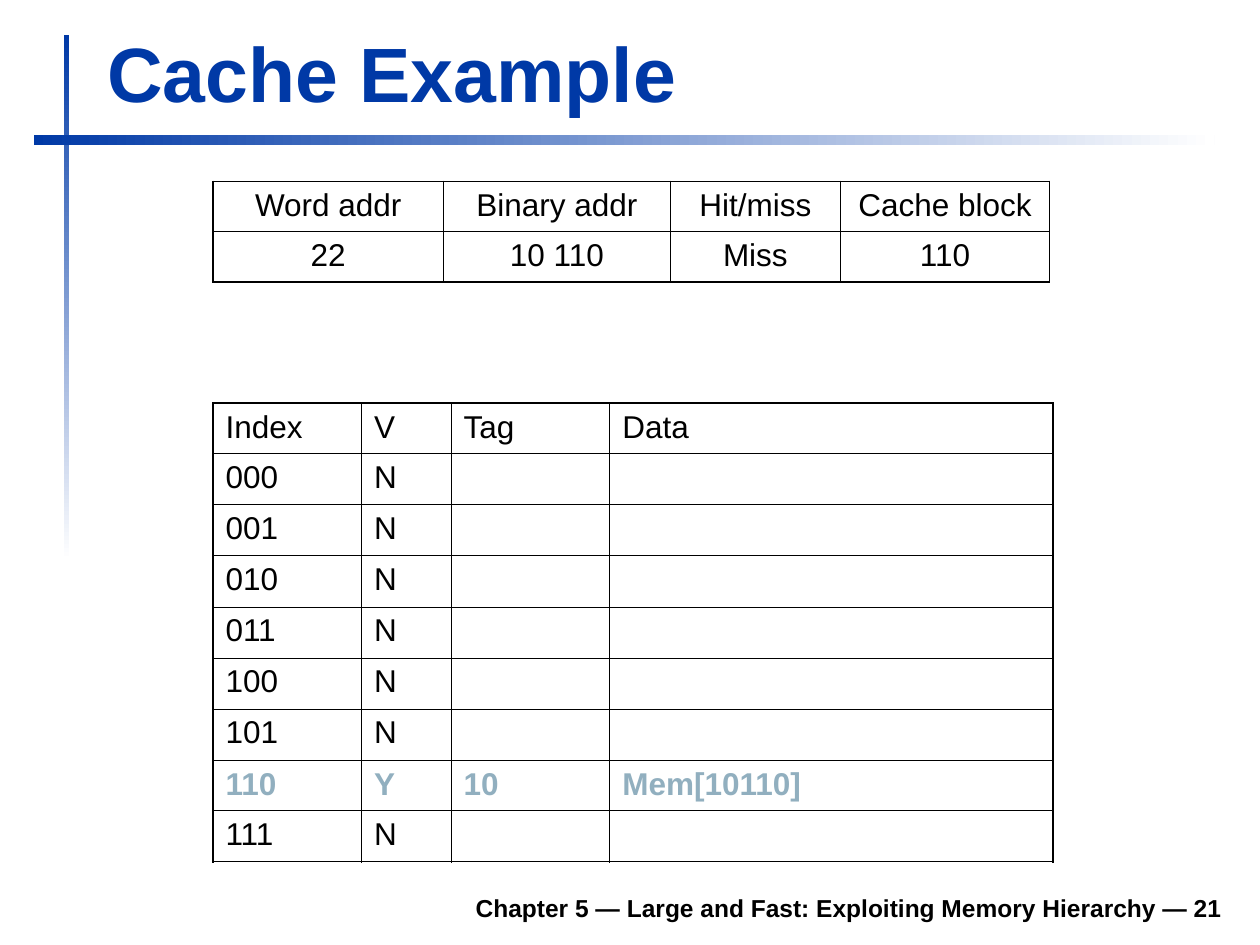
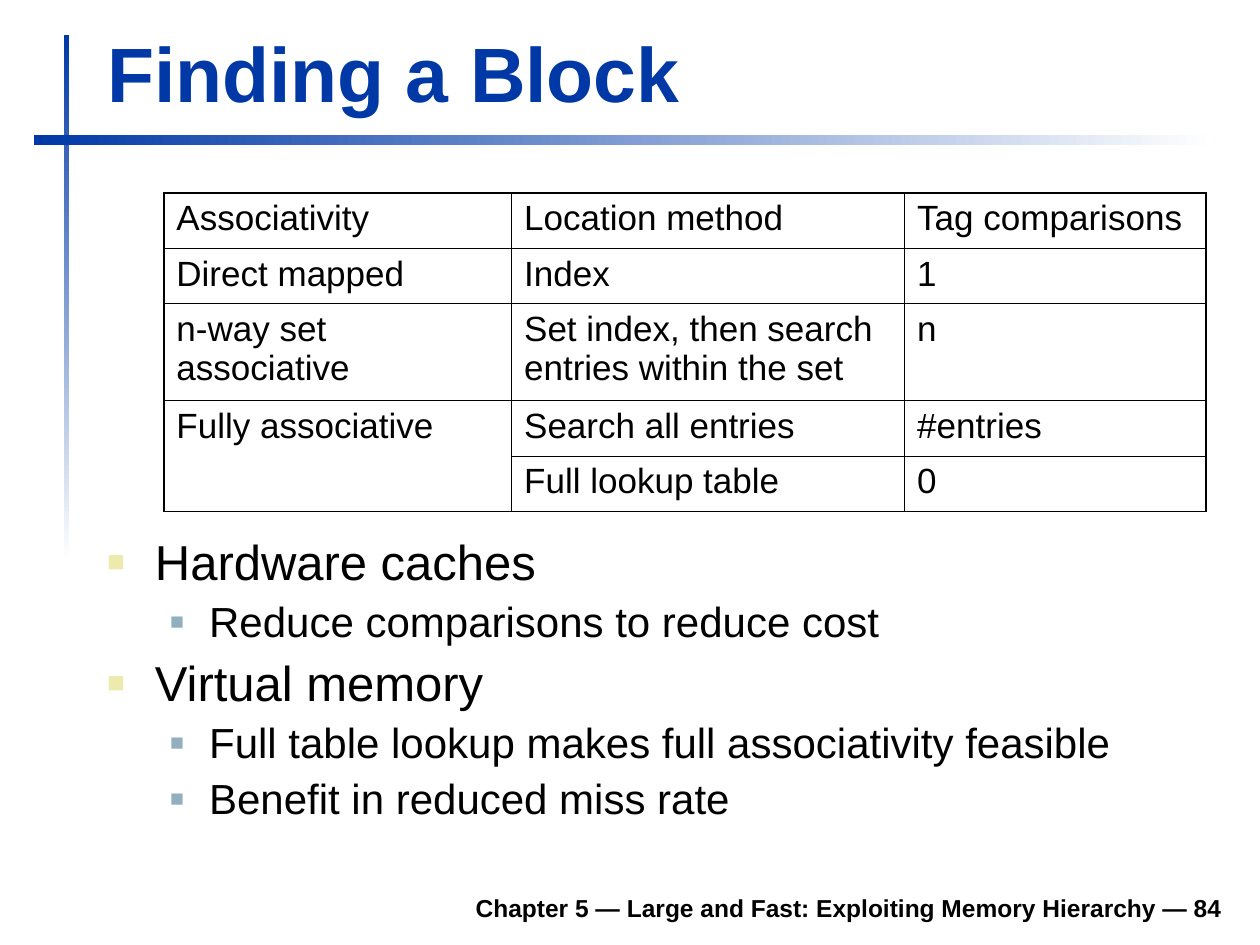
from dataclasses import dataclass

from lxml import etree
from pptx import Presentation
from pptx.dml.color import RGBColor
from pptx.enum.shapes import MSO_SHAPE
from pptx.enum.text import MSO_ANCHOR, MSO_AUTO_SIZE, PP_ALIGN
from pptx.oxml.ns import qn
from pptx.presentation import Presentation as Deck
from pptx.slide import Slide
from pptx.table import _Cell as Cell
from pptx.text.text import TextFrame, _Paragraph as Paragraph
from pptx.util import Inches, Pt

RECTANGLE = MSO_SHAPE.RECTANGLE
LEFT, CENTER, RIGHT = PP_ALIGN.LEFT, PP_ALIGN.CENTER, PP_ALIGN.RIGHT
BOTTOM = MSO_ANCHOR.BOTTOM
FIXED = MSO_AUTO_SIZE.NONE

FONT = "Arial"
COLORS = {
    "blue": "0039A6",
    "white": "FFFFFF",
    "black": "000000",
    "steel": "91AFBF",
    "sand": "ECEAAC",
}
INNER, HEADER, OUTER = 0.45, 0.75, 1.08
FOOTER = "Chapter 5 — Large and Fast: Exploiting Memory Hierarchy — "
TITLE_ONLY, TITLE_AND_BODY = 5, 1


@dataclass
class Frame:
    left: float
    top: float
    width: float
    height: float

    def lengths(self) -> tuple:
        return tuple(Inches(n) for n in (self.left, self.top, self.width, self.height))


@dataclass
class Band:
    frame: Frame
    angle: int


@dataclass
class Grid:
    left: float
    top: float
    columns: list[float]
    heights: list[float]
    rows: list[list[str]]
    size: int = 18
    align: PP_ALIGN = LEFT
    highlight: int | None = None


@dataclass
class BulletLevel:
    size: int
    left: float
    hanging: float
    before: int
    color: str
    percent: int


TITLE_FRAME = Frame(0.75, 0.16, 9.03, 0.83)
FOOTER_FRAME = Frame(1.85, 6.98, 7.95, 0.39)
BODY_FRAME = Frame(0.75, 4.22, 9.04, 2.6)
BANDS = [
    Band(Frame(0.51, 0.28, 0.04, 4.17), 270),
    Band(Frame(0.27, 1.07, 9.37, 0.08), 0),
]
LEVELS = [
    BulletLevel(28, 0.38, 0.38, 7, "sand", 60),
    BulletLevel(24, 0.81, 0.31, 6, "steel", 55),
]

ACCESS = Grid(
    1.69, 1.44, [1.83, 1.8, 1.35, 1.66], [0.4] * 2,
    [
        ["Word addr", "Binary addr", "Hit/miss", "Cache block"],
        ["22", "10 110", "Miss", "110"],
    ],
    align=CENTER,
)
FILLED_INDEX = 6
CACHE = Grid(
    1.69, 3.2, [1.18, 0.71, 1.26, 3.52], [0.4] * 9,
    [["Index", "V", "Tag", "Data"]]
    + [
        [f"{index:03b}"] + (["Y", "10", "Mem[10110]"] if index == FILLED_INDEX else ["N", "", ""])
        for index in range(8)
    ],
    highlight=FILLED_INDEX + 1,
)
METHODS = Grid(
    1.3, 1.53, [2.76, 3.12, 2.39], [0.44, 0.44, 0.77, 0.44, 0.44],
    [
        ["Associativity", "Location method", "Tag comparisons"],
        ["Direct mapped", "Index", "1"],
        ["n-way set associative", "Set index, then search entries within the set", "n"],
        ["Fully associative", "Search all entries", "#entries"],
        ["", "Full lookup table", "0"],
    ],
    size=20,
)
CACHE_KINDS = [
    (0, "Hardware caches"),
    (1, "Reduce comparisons to reduce cost"),
    (0, "Virtual memory"),
    (1, "Full table lookup makes full associativity feasible"),
    (1, "Benefit in reduced miss rate"),
]


def rgb(name: str) -> RGBColor:
    return RGBColor.from_string(COLORS[name])


def format_spans(para: Paragraph, size: int, color: str = "black", bold: bool = False) -> None:
    for span in para.runs:
        span.font.name = FONT
        span.font.size = Pt(size)
        span.font.bold = bold
        span.font.color.rgb = rgb(color)


def set_line(text_frame: TextFrame, text: str, size: int, color: str, align: PP_ALIGN) -> None:
    """Fill a frame with one bold line that sits at its bottom."""
    text_frame.text = text
    text_frame.word_wrap = True
    text_frame.auto_size = FIXED
    text_frame.vertical_anchor = BOTTOM
    para = text_frame.paragraphs[0]
    para.alignment = align
    format_spans(para, size, color, bold=True)


def place(box, frame: Frame) -> None:
    box.left, box.top, box.width, box.height = frame.lengths()


def add_master_bands(deck: Deck, page: Slide) -> None:
    """Draw the gradient bands and move them to the slide master."""
    master_tree = deck.slide_master.shapes.element
    for band in BANDS:
        box = page.shapes.add_shape(RECTANGLE, *band.frame.lengths())
        box.shadow.inherit = False
        box.line.fill.background()
        box.fill.gradient()
        box.fill.gradient_angle = band.angle
        for stop, color in zip(box.fill.gradient_stops, ("blue", "white")):
            stop.color.rgb = rgb(color)
        master_tree.append(box.element)


def add_page(deck: Deck, layout: int, title: str, number: int) -> Slide:
    page = deck.slides.add_slide(deck.slide_layouts[layout])
    place(page.shapes.title, TITLE_FRAME)
    set_line(page.shapes.title.text_frame, title, 44, "blue", LEFT)
    footer = page.shapes.add_textbox(*FOOTER_FRAME.lengths())
    set_line(footer.text_frame, f"{FOOTER}{number}", 14, "black", RIGHT)
    return page


def set_borders(cell: Cell, widths: dict[str, float]) -> None:
    properties = cell._tc.get_or_add_tcPr()
    for side, width in widths.items():
        line = etree.SubElement(properties, qn(f"a:ln{side}"), w=str(Pt(width)))
        fill = etree.SubElement(line, qn("a:solidFill"))
        etree.SubElement(fill, qn("a:srgbClr"), val=COLORS["black"])


def add_grid(page: Slide, grid: Grid, merged: tuple | None = None) -> None:
    """Draw a ruled table; merged gives the first and last cell of a joined area."""
    last_row, last_column = len(grid.rows) - 1, len(grid.columns) - 1
    frame = Frame(grid.left, grid.top, sum(grid.columns), sum(grid.heights))
    table = page.shapes.add_table(last_row + 1, last_column + 1, *frame.lengths()).table
    table.first_row = table.horz_banding = False
    for column, width in zip(table.columns, grid.columns):
        column.width = Inches(width)
    for row, height in zip(table.rows, grid.heights):
        row.height = Inches(height)
    if merged:
        first, last = merged
        table.cell(*first).merge(table.cell(*last))

    row_rules = [OUTER, HEADER] + [INNER] * (last_row - 1) + [OUTER]
    column_rules = [OUTER] + [INNER] * last_column + [OUTER]
    for i, texts in enumerate(grid.rows):
        marked = i == grid.highlight
        for j, text in enumerate(texts):
            cell = table.cell(i, j)
            set_borders(cell, {
                "L": column_rules[j],
                "R": column_rules[j + 1],
                "T": row_rules[i],
                "B": row_rules[i + cell.span_height],
            })
            cell.fill.background()
            if text:
                cell.text_frame.text = text
                para = cell.text_frame.paragraphs[0]
                para.alignment = grid.align
                para.space_before = Pt(grid.size / 4)
                format_spans(para, grid.size, "steel" if marked else "black", marked)


def set_bullet(para: Paragraph, level: BulletLevel) -> None:
    properties = para._p.get_or_add_pPr()
    properties.set("marL", str(Inches(level.left)))
    properties.set("indent", str(-Inches(level.hanging)))
    color = etree.SubElement(properties, qn("a:buClr"))
    etree.SubElement(color, qn("a:srgbClr"), val=COLORS[level.color])
    etree.SubElement(properties, qn("a:buSzPct"), val=str(level.percent * 1000))
    etree.SubElement(properties, qn("a:buFont"), typeface=FONT)
    etree.SubElement(properties, qn("a:buChar"), char="■")


def fill_body(page: Slide, items: list[tuple[int, str]]) -> None:
    body = page.placeholders[1]
    place(body, BODY_FRAME)
    text_frame = body.text_frame
    text_frame.text = "\n".join(text for _, text in items)
    text_frame.auto_size = FIXED
    for para, (depth, _) in zip(text_frame.paragraphs, items):
        level = LEVELS[depth]
        para.level = depth
        para.alignment = LEFT
        para.line_spacing = 0.9
        para.space_before = Pt(level.before)
        set_bullet(para, level)
        format_spans(para, level.size)


def main() -> None:
    deck = Presentation()
    deck.slide_width, deck.slide_height = Inches(10), Inches(7.5)

    cache_page = add_page(deck, TITLE_ONLY, "Cache Example", 21)
    add_master_bands(deck, cache_page)
    add_grid(cache_page, CACHE)
    add_grid(cache_page, ACCESS)

    block_page = add_page(deck, TITLE_AND_BODY, "Finding a Block", 84)
    fill_body(block_page, CACHE_KINDS)
    add_grid(block_page, METHODS, merged=((3, 0), (4, 0)))

    deck.save("out.pptx")


if __name__ == "__main__":
    main()
